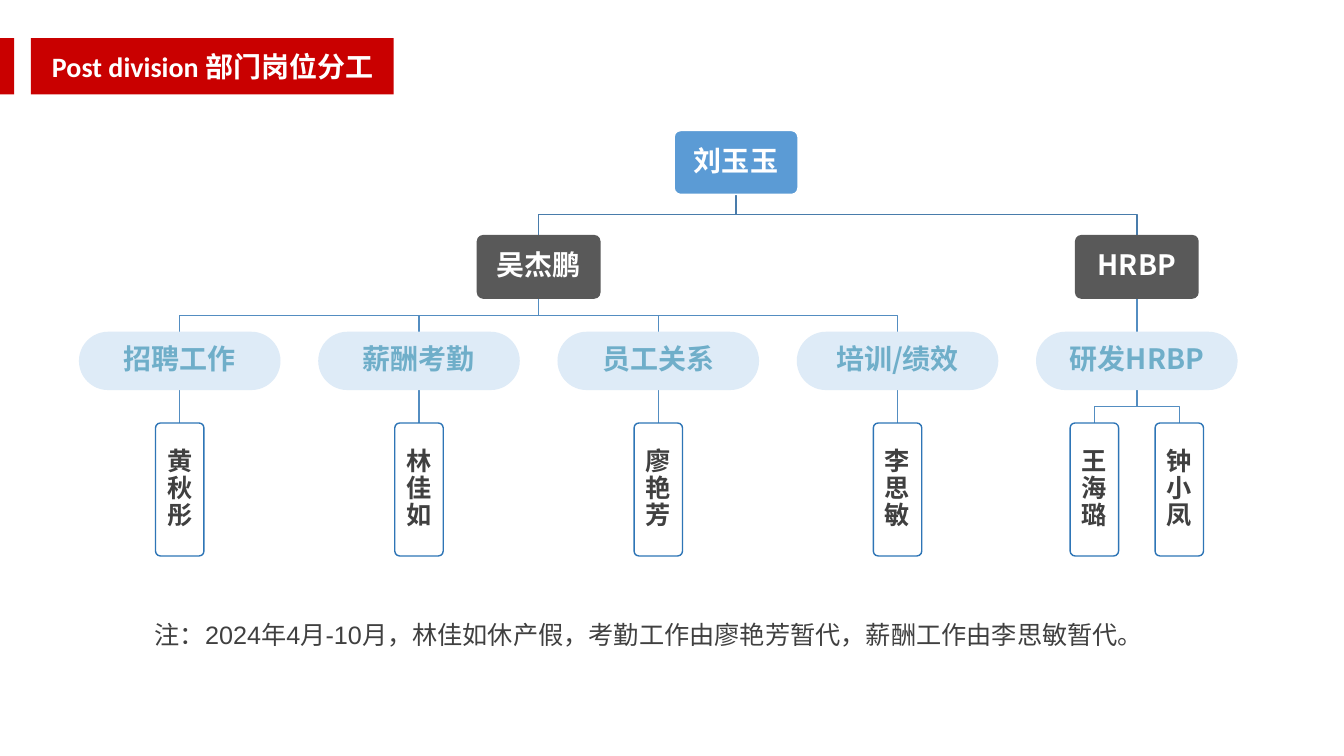
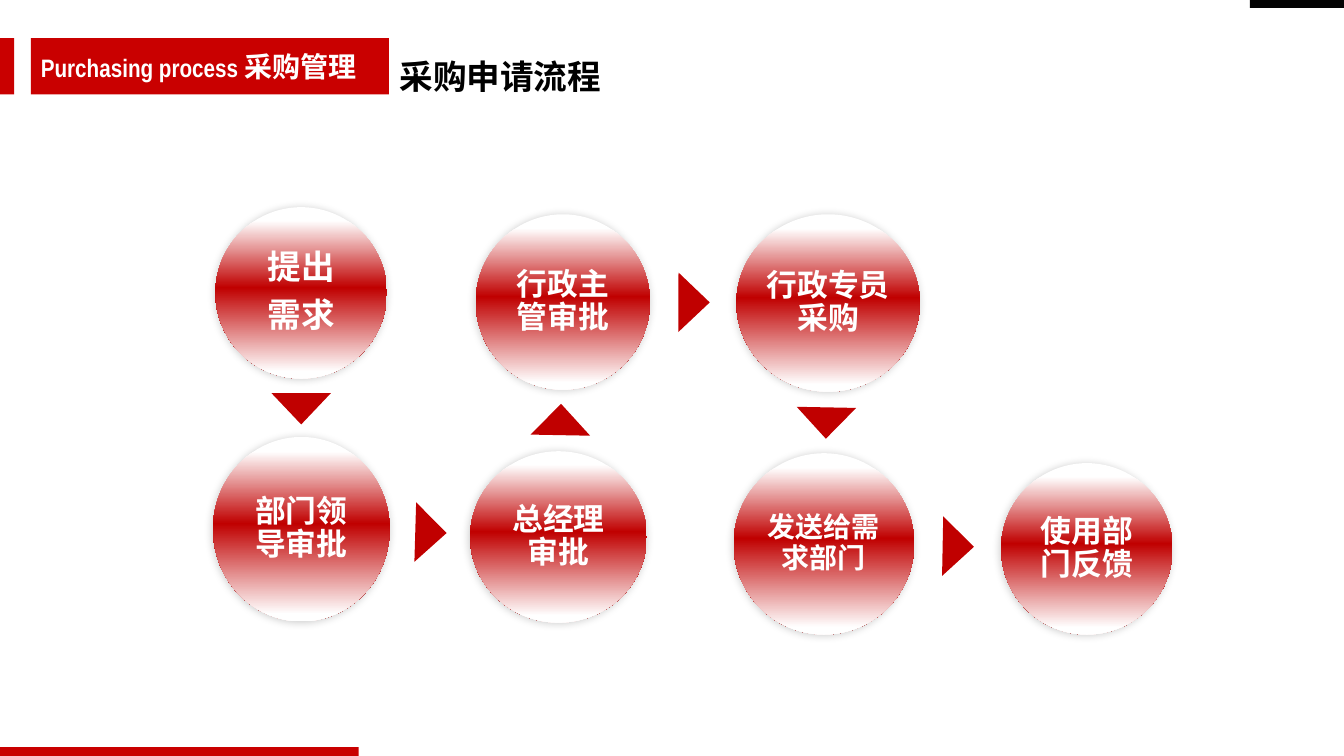
import dataclasses

import lxml.etree
import pptx
import pptx.dml.color
import pptx.enum.shapes
import pptx.enum.text
import pptx.oxml.ns
import pptx.util

Cm = pptx.util.Cm
Pt = pptx.util.Pt
qn = pptx.oxml.ns.qn
SHAPE = pptx.enum.shapes.MSO_SHAPE
CONNECTOR = pptx.enum.shapes.MSO_CONNECTOR
ALIGN = pptx.enum.text.PP_ALIGN
ANCHOR = pptx.enum.text.MSO_ANCHOR


@dataclasses.dataclass(frozen=True)
class Theme:
    # Colours
    red: str = "C90000"
    deep_red: str = "C00000"
    white: str = "FFFFFF"
    black: str = "000000"
    corner: str = "040404"
    blue: str = "5B9BD5"
    grey: str = "595959"
    pale_blue: str = "DEEBF7"
    teal: str = "6FAEC9"
    ink: str = "404040"
    card_line: str = "2E75B6"
    upper_line: str = "497CAB"
    lower_line: str = "538DC1"
    # Type
    cjk: str = "Noto Sans CJK SC"
    note_font: str = "Arial"
    small: int = 18
    body: int = 20
    large: int = 22
    heading: int = 24


THEME = Theme()


def rgb(value):
    return pptx.dml.color.RGBColor.from_string(value)


class SlideBuilder:
    """Holds the deck, its theme and the slide being drawn."""

    def __init__(self, theme):
        self.theme = theme
        self.deck = pptx.Presentation()
        self.deck.slide_width, self.deck.slide_height = Cm(33.87), Cm(19.05)
        self.page = None

    def format_span(self, span, size, colour, bold=True, font=None):
        span.font.size = Pt(size)
        span.font.bold = bold
        span.font.color.rgb = rgb(colour)
        span.font.name = font or self.theme.cjk
        east_asian = lxml.etree.SubElement(span.font._element, qn("a:ea"))
        east_asian.set("typeface", self.theme.cjk)

    def set_margins(self, frame, left, top, right, bottom):
        frame.margin_left, frame.margin_top = Cm(left), Cm(top)
        frame.margin_right, frame.margin_bottom = Cm(right), Cm(bottom)

    def new_page(self, latin, chinese, font, latin_size, band_width, indent):
        """Start a slide with the red tab and the title on its red band."""
        self.page = self.deck.slides.add_slide(self.deck.slide_layouts[5])
        self.block(SHAPE.RECTANGLE, -0.02, 0.96, 0.38, 1.42, self.theme.red)
        title = self.page.shapes.title
        title.left, title.top = Cm(0.78), Cm(0.96)
        title.width, title.height = Cm(band_width), Cm(1.42)
        title.fill.solid()
        title.fill.fore_color.rgb = rgb(self.theme.red)
        frame = title.text_frame
        frame.auto_size = pptx.enum.text.MSO_AUTO_SIZE.NONE
        frame.word_wrap = True
        frame.vertical_anchor = ANCHOR.MIDDLE
        self.set_margins(frame, indent, 0.13, 0, 0.13)
        para = frame.paragraphs[0]
        para.alignment = ALIGN.LEFT
        for text, size, name in ((latin + " ", latin_size, font),
                                 (chinese, self.theme.body, self.theme.cjk)):
            span = para.add_run()
            span.text = text
            self.format_span(span, size, self.theme.white, font=name)

    def block(self, kind, left, top, width, height, fill=None, line=None):
        box = self.page.shapes.add_shape(kind, Cm(left), Cm(top), Cm(width), Cm(height))
        box.shadow.inherit = False
        if fill:
            box.fill.solid()
            box.fill.fore_color.rgb = rgb(fill)
        else:
            box.fill.background()
        if line:
            box.line.color.rgb = rgb(line)
            box.line.width = Pt(1)
        else:
            box.line.fill.background()
        return box

    def label(self, box, text, size, colour, inset):
        """Centre a bold label inside a shape."""
        frame = box.text_frame
        frame.text = text
        frame.word_wrap = True
        frame.vertical_anchor = ANCHOR.MIDDLE
        self.set_margins(frame, inset, inset, inset, inset)
        for para in frame.paragraphs:
            para.alignment = ALIGN.CENTER
            para.line_spacing = 0.9
            para.space_after = Pt(round(size * 0.35, 1))
            for span in para.runs:
                self.format_span(span, size, colour)

    def node(self, centre, row, text, size, colour, fill=None, line=None, radius=0.1):
        """Place a rounded org-chart box; row gives its top, width and height."""
        top, width, height = row
        box = self.block(SHAPE.ROUNDED_RECTANGLE, centre - width / 2, top,
                         width, height, fill, line)
        box.adjustments[0] = radius
        self.label(box, text, size, colour, 0.23)

    def link(self, parent, child, top, bottom, colour):
        """Join a parent to a child below it, with an elbow if it is off to a side."""
        if parent == child:
            kind, ends = CONNECTOR.STRAIGHT, (parent, top, child, bottom)
        else:
            # An elbow leaves sideways, so it is laid flat and turned upright
            kind = CONNECTOR.ELBOW
            x, y = (parent + child) / 2, (top + bottom) / 2
            along, across = (bottom - top) / 2, abs(child - parent) / 2
            if child > parent:
                along = -along
            ends = (x - along, y - across, x + along, y + across)
        connector = self.page.shapes.add_connector(kind, *(Cm(end) for end in ends))
        if parent != child:
            degrees = 270 if child > parent else 90
            frame = connector._element.spPr.find(qn("a:xfrm"))
            frame.set("rot", str(degrees * 60000))
        connector.line.color.rgb = rgb(colour)
        connector.line.width = Pt(1)
        lxml.etree.SubElement(connector._element.spPr, qn("a:effectLst"))

    def branch(self, parent, children, top, bottom, colour):
        for child in children:
            self.link(parent, child, top, bottom, colour)

    def text(self, left, top, width, height, text, size, colour,
             bold=True, font=None, anchor=ANCHOR.TOP):
        box = self.page.shapes.add_textbox(Cm(left), Cm(top), Cm(width), Cm(height))
        frame = box.text_frame
        frame.text = text
        frame.word_wrap = True
        frame.vertical_anchor = anchor
        para = frame.paragraphs[0]
        para.line_spacing = 1.5
        self.format_span(para.runs[0], size, colour, bold, font)

    def step(self, left, top, width, height, text, size):
        """Draw a process circle with a white-red-white gradient and soft shadow."""
        circle = self.block(SHAPE.OVAL, left, top, width, height)
        circle.fill.gradient()
        circle.fill.gradient_angle = 270
        properties = circle._element.spPr
        stops = properties.find(qn("a:gradFill")).find(qn("a:gsLst"))
        stops.clear()
        for position, colour in ((8, self.theme.white), (47, self.theme.deep_red),
                                 (96, self.theme.white)):
            stop = lxml.etree.SubElement(stops, qn("a:gs"), pos=str(position * 1000))
            lxml.etree.SubElement(stop, qn("a:srgbClr"), val=colour)
        shadow = lxml.etree.SubElement(
            properties.find(qn("a:effectLst")), qn("a:outerShdw"),
            blurRad=str(Pt(6)), dist=str(Pt(1)), dir=str(135 * 60000),
            algn="ctr", rotWithShape="0")
        tint = lxml.etree.SubElement(shadow, qn("a:srgbClr"), val=self.theme.black)
        lxml.etree.SubElement(tint, qn("a:alpha"), val="20000")
        self.label(circle, text, size, self.theme.white, 0.05)

    def arrow(self, x, y, rotation):
        width, height = 1.5, 0.79
        head = self.block(SHAPE.ISOSCELES_TRIANGLE, x - width / 2, y - height / 2,
                          width, height, self.theme.deep_red)
        head.rotation = rotation


def build_org_chart(builder):
    theme = builder.theme
    builder.new_page("Post division", "部门岗位分工", "Calibri", theme.body, 9.14, 0.53)

    # Rows: top, width, height
    boss_row, lead_row = (3.29, 3.12, 1.61), (5.92, 3.12, 1.61)
    duty_row, card_row = (8.36, 5.08, 1.47), (10.66, 1.22, 3.35)

    # Columns
    columns = [4.53 + 6.03 * index for index in range(5)]
    boss = 18.55
    leads = [(columns[0] + columns[3]) / 2, columns[4]]
    duties = [("招聘工作", ["黄秋彤"]), ("薪酬考勤", ["林佳如"]), ("员工关系", ["廖艳芳"]),
              ("培训/绩效", ["李思敏"]), ("研发HRBP", ["王海璐", "钟小凤"])]
    card_pitch = 2.14

    def gap(upper, lower):
        return upper[0] + upper[2], lower[0]

    # Upper levels
    builder.branch(boss, leads, *gap(boss_row, lead_row), theme.upper_line)
    builder.branch(leads[0], columns[:4], *gap(lead_row, duty_row), theme.lower_line)
    builder.branch(leads[1], columns[4:], *gap(lead_row, duty_row), theme.lower_line)
    builder.node(boss, boss_row, "刘玉玉", theme.body, theme.white, theme.blue, theme.white)
    for centre, name in zip(leads, ("吴杰鹏", "HRBP")):
        builder.node(centre, lead_row, name, theme.body, theme.white, theme.grey)

    # Duties and the people who hold them
    for centre, (duty, people) in zip(columns, duties):
        cards = [centre + card_pitch * (index - (len(people) - 1) / 2)
                 for index in range(len(people))]
        builder.branch(centre, cards, *gap(duty_row, card_row), theme.lower_line)
        builder.node(centre, duty_row, duty, theme.body, theme.teal,
                     theme.pale_blue, radius=0.5)
        for card, person in zip(cards, people):
            builder.node(card, card_row, person, theme.small, theme.ink,
                         line=theme.card_line)

    # Note
    builder.text(3.65, 14.66, 26.42, 2.29,
                 "注：2024年4月-10月，林佳如休产假，考勤工作由廖艳芳暂代，薪酬工作由李思敏暂代。",
                 theme.small, theme.ink, False, theme.note_font, ANCHOR.MIDDLE)


def build_purchasing(builder):
    theme = builder.theme
    builder.new_page("Purchasing process", "采购管理", "Arial Narrow", theme.small, 9.02, 0.25)
    builder.text(9.82, 0.77, 11.28, 1.8, "采购申请流程", theme.heading, theme.black)

    # Edge accents
    builder.block(SHAPE.RECTANGLE, 0, 18.83, 9.04, 0.22, theme.red)
    builder.block(SHAPE.RECTANGLE, 31.5, 0, 2.37, 0.2, theme.corner)

    # Steps: left, top, width, height, text, size
    for step in (
        (5.43, 5.22, 4.32, 4.32, "提出\n需求", theme.heading),
        (5.37, 11.01, 4.45, 4.65, "部门领导审批", theme.large),
        (11.85, 11.37, 4.45, 4.32, "总经理审批", theme.large),
        (11.99, 5.4, 4.39, 4.42, "行政主管审批", theme.large),
        (18.56, 5.4, 4.62, 4.47, "行政专员采购", theme.large),
        (18.49, 11.42, 4.55, 4.57, "发送给需求部门", theme.body),
        (25.23, 11.67, 4.32, 4.32, "使用部门反馈", theme.large),
    ):
        builder.step(*step)

    # Arrows: centre and rotation
    for arrow in ((7.59, 10.3, 180), (10.86, 13.42, 91.7), (14.13, 10.57, 1.1),
                  (17.49, 7.62, 90.2), (20.82, 10.66, 181.1), (24.15, 13.77, 91.1)):
        builder.arrow(*arrow)


def main():
    builder = SlideBuilder(THEME)
    build_org_chart(builder)
    build_purchasing(builder)
    builder.deck.save("out.pptx")


if __name__ == "__main__":
    main()
